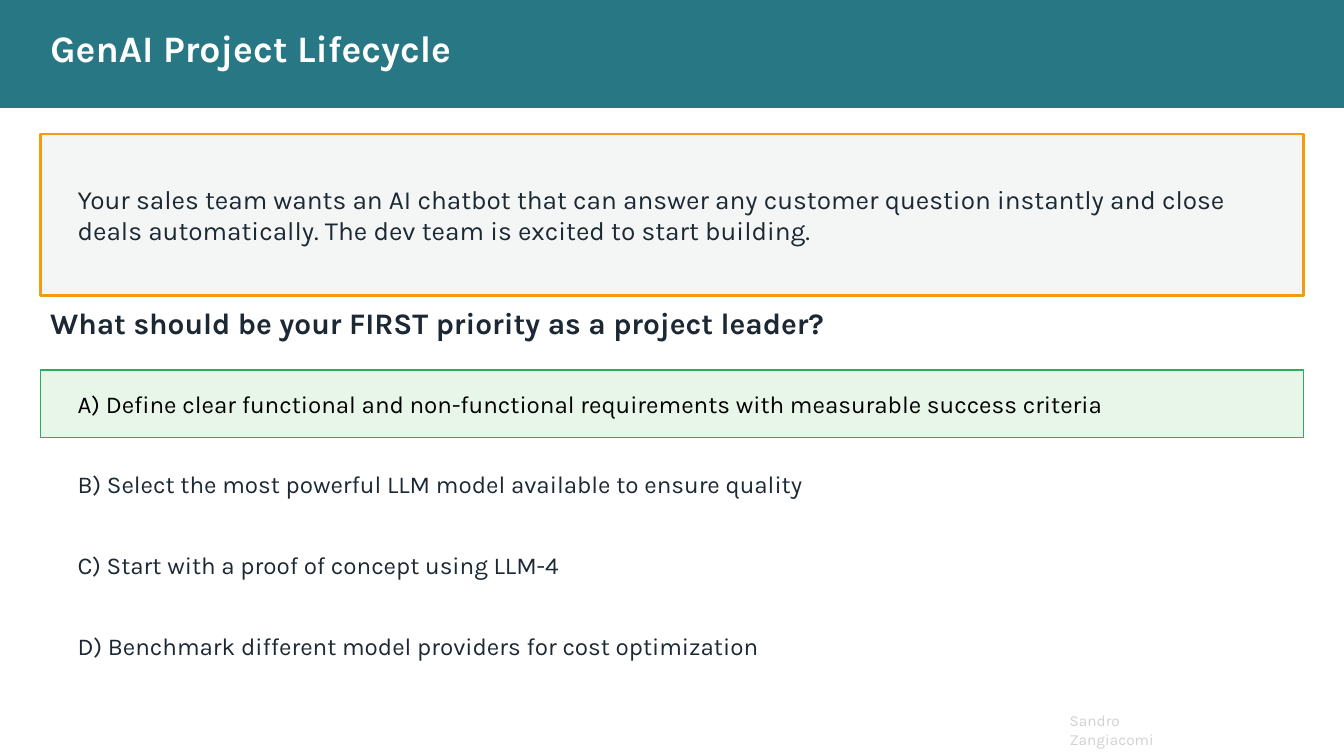
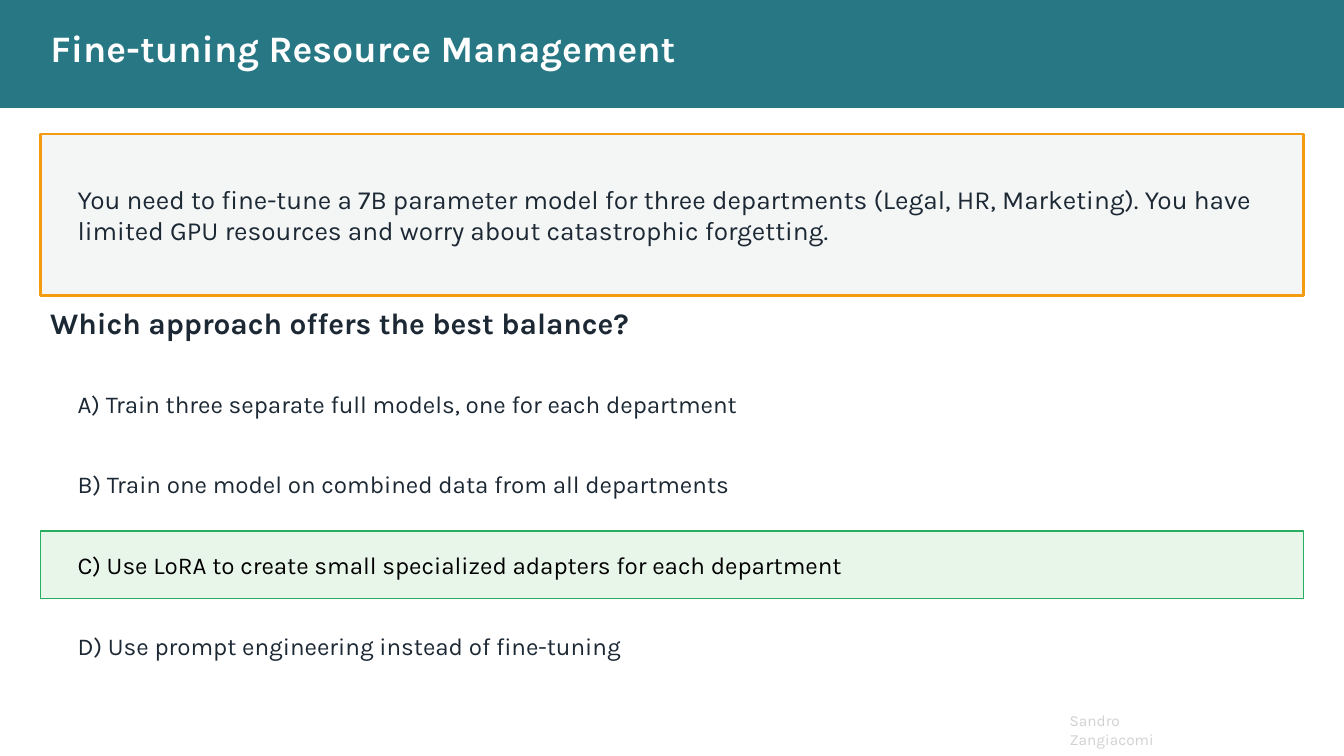
from dataclasses import dataclass

from pptx import Presentation
from pptx.dml.color import RGBColor
from pptx.enum.shapes import MSO_SHAPE
from pptx.enum.text import MSO_ANCHOR, MSO_AUTO_SIZE, PP_ALIGN
from pptx.util import Emu, Pt

RECTANGLE = MSO_SHAPE.RECTANGLE
TOP, MIDDLE = MSO_ANCHOR.TOP, MSO_ANCHOR.MIDDLE
LEFT = PP_ALIGN.LEFT
NO_FIT = MSO_AUTO_SIZE.NONE

EMU_PER_PX = 9144
SLIDE_WIDTH, SLIDE_HEIGHT = 1333, 750
MARGIN, CONTENT_WIDTH = 40, 1253
TEXT_INSET, PANEL_INSET = 10, 37
OPTION_TOP, OPTION_HEIGHT, OPTION_PITCH = 367, 67, 80


@dataclass(frozen=True)
class Theme:
    font: str = "Karla"
    band: str = "277884"
    white: str = "FFFFFF"
    ink: str = "1C2833"
    black: str = "000000"
    muted: str = "D1D1D1"
    panel: str = "F4F6F6"
    accent: str = "F39C12"
    answer: str = "E8F5E9"
    answer_line: str = "27AE60"
    title_size: float = 26.7
    question_size: float = 21.3
    scenario_size: float = 18.7
    option_size: float = 17.3
    footer_size: float = 11


THEME = Theme()

QUIZZES = [
    {
        "title": "GenAI Project Lifecycle",
        "scenario": "Your sales team wants an AI chatbot that can answer any customer "
                    "question instantly and close deals automatically. The dev team is "
                    "excited to start building.",
        "question": "What should be your FIRST priority as a project leader?",
        "options": [
            "A) Define clear functional and non-functional requirements with "
            "measurable success criteria",
            "B) Select the most powerful LLM model available to ensure quality",
            "C) Start with a proof of concept using LLM-4",
            "D) Benchmark different model providers for cost optimization",
        ],
        "answer": 0,
    },
    {
        "title": "Fine-tuning Resource Management",
        "scenario": "You need to fine-tune a 7B parameter model for three departments "
                    "(Legal, HR, Marketing). You have limited GPU resources and worry "
                    "about catastrophic forgetting.",
        "question": "Which approach offers the best balance?",
        "options": [
            "A) Train three separate full models, one for each department",
            "B) Train one model on combined data from all departments",
            "C) Use LoRA to create small specialized adapters for each department",
            "D) Use prompt engineering instead of fine-tuning",
        ],
        "answer": 2,
    },
]


def px(length):
    return Emu(length * EMU_PER_PX)


def box(left, top, width, height):
    return [px(length) for length in (left, top, width, height)]


def write(shape, text, size, color, bold=False, inset=TEXT_INSET, anchor=MIDDLE):
    frame = shape.text_frame
    frame.text = text
    frame.word_wrap = True
    frame.auto_size = NO_FIT
    frame.vertical_anchor = anchor
    frame.margin_left = frame.margin_right = px(inset)
    frame.margin_top = frame.margin_bottom = px(5)
    paragraph = frame.paragraphs[0]
    paragraph.alignment = LEFT
    font = paragraph.runs[0].font
    font.name = THEME.font
    font.size = Pt(size)
    font.bold = bold
    font.color.rgb = RGBColor.from_string(color)


def add_panel(slide, bounds, fill, line, line_width):
    panel = slide.shapes.add_shape(RECTANGLE, *box(*bounds))
    panel.shadow.inherit = False
    panel.fill.solid()
    panel.fill.fore_color.rgb = RGBColor.from_string(fill)
    panel.line.color.rgb = RGBColor.from_string(line)
    panel.line.width = Pt(line_width)
    return panel


def add_text(slide, bounds, text, size, color, **style):
    text_box = slide.shapes.add_textbox(*box(*bounds))
    write(text_box, text, size, color, **style)


def move_to_layout(slide):
    layout_tree = slide.slide_layout.shapes._spTree
    decorations = [shape for shape in slide.shapes if not shape.is_placeholder]
    for index, shape in enumerate(decorations, start=2):
        layout_tree.insert(index, shape._element)


def add_shared_design(slide):
    add_panel(slide, (0, 0, SLIDE_WIDTH, 107), THEME.band, THEME.band, 0.75)
    add_text(slide, (1051, 701, 149, 49), "Sandro Zangiacomi",
             THEME.footer_size, THEME.muted, anchor=TOP)
    move_to_layout(slide)


def add_option(slide, row, text, is_answer):
    bounds = (MARGIN, OPTION_TOP + row * OPTION_PITCH, CONTENT_WIDTH, OPTION_HEIGHT)
    if is_answer:
        panel = add_panel(slide, bounds, THEME.answer, THEME.answer_line, 1)
        write(panel, text, THEME.option_size, THEME.black, inset=PANEL_INSET)
    else:
        add_text(slide, bounds, text, THEME.option_size, THEME.ink, inset=PANEL_INSET)


def fill_quiz(slide, quiz):
    title = slide.shapes.title
    title.left, title.top, title.width, title.height = box(MARGIN, 17, 1000, 60)
    write(title, quiz["title"], THEME.title_size, THEME.white, bold=True)

    scenario = add_panel(slide, (MARGIN, 133, CONTENT_WIDTH, 160),
                         THEME.panel, THEME.accent, 2)
    write(scenario, quiz["scenario"], THEME.scenario_size, THEME.ink, inset=PANEL_INSET)
    add_text(slide, (MARGIN, 300, CONTENT_WIDTH, 40), quiz["question"],
             THEME.question_size, THEME.ink, bold=True)

    for row, option in enumerate(quiz["options"]):
        add_option(slide, row, option, row == quiz["answer"])


def main():
    presentation = Presentation()
    presentation.slide_width = px(SLIDE_WIDTH)
    presentation.slide_height = px(SLIDE_HEIGHT)
    layout = presentation.slide_layouts[5]
    slides = [presentation.slides.add_slide(layout) for _ in QUIZZES]
    add_shared_design(slides[0])
    for slide, quiz in zip(slides, QUIZZES):
        fill_quiz(slide, quiz)
    presentation.save("out.pptx")


if __name__ == "__main__":
    main()
